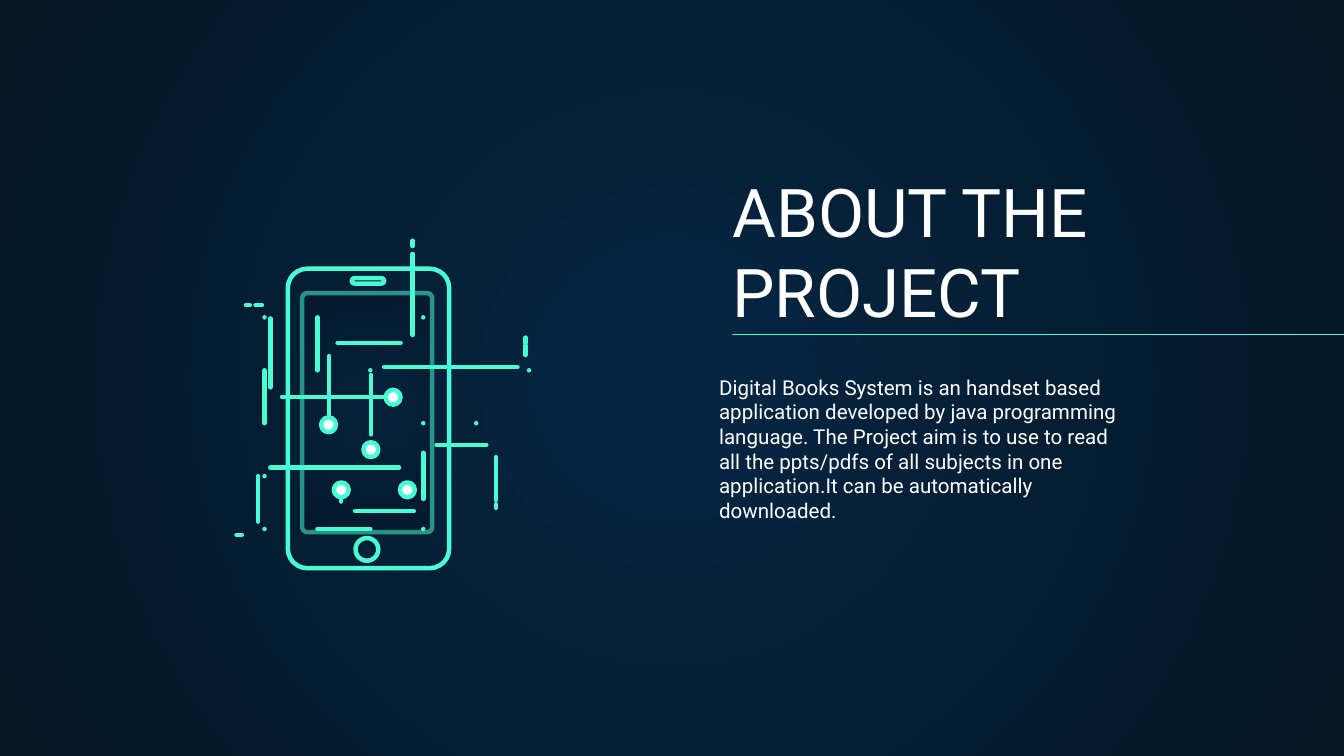
from pptx import Presentation
from pptx import util as u
from pptx.dml import color
from pptx.enum import shapes, text
from pptx.oxml import ns, parse_xml

HUES = {"mint": "48FFD5", "white": "FFFFFF", "navy": "052643",
        "night": "041523", "plum": "161234"}
FONT = "Roboto"
TICK = 0.08
DOT = 0.28

WIRES = [
    ((1.98, 4.71),
     [(1.98, 4.85, 1.98, 4.93), (2.24, 5.11, 3.35, 5.11),
      (3.53, 4.88, 3.53, 4.01), (3.78, 3.86, 4.72, 3.86),
      (4.9, 4.09, 4.9, 4.9), (4.9, 4.98, 4.9, 5.05)],
     [(1.98, 5.11, 1, -1), (3.53, 5.11, -1, -1),
      (3.53, 3.86, 1, 1), (4.9, 3.86, -1, 1)]),
    ((2.96, 2.96),
     [(0.18, 1.22, 0.25, 1.22), (0.36, 1.22, 0.48, 1.22),
      (0.64, 1.47, 0.64, 2.77), (0.86, 2.95, 2.77, 2.95)],
     [(0.64, 1.22, -1, 1), (0.64, 2.95, 1, -1)]),
    ((3.23, 4.71),
     [(0, 5.56, 0.1, 5.56), (0.41, 5.31, 0.41, 4.45),
      (0.64, 4.29, 3.07, 4.29)],
     [(0.41, 5.56, -1, -1), (0.41, 4.29, 1, 1), (3.23, 4.29, -1, 1)]),
    ((2.54, 3.95),
     [(2.54, 3.66, 2.54, 2.54), (2.79, 2.39, 5.31, 2.39),
      (5.46, 2.16, 5.46, 1.98), (5.46, 1.93, 5.46, 1.83)],
     [(2.54, 2.39, 1, 1), (5.46, 2.39, -1, -1)]),
    ((1.74, 3.48),
     [(3.33, 0, 3.33, 0.1), (3.33, 0.25, 3.33, 1.78),
      (3.1, 1.93, 1.91, 1.93), (1.75, 2.18, 1.75, 3.3)],
     [(3.33, 1.93, -1, -1), (1.75, 1.93, 1, 1)]),
]


def rgb(name):
    """Return the named colour."""
    return color.RGBColor.from_string(HUES[name])


def glow(fill, node, alpha=100):
    """Fill with a round gradient from navy to night."""
    fill.gradient()
    for stop, name in zip(fill.gradient_stops, ("navy", "night")):
        stop.color.rgb = rgb(name)
    for tone in node.iter(ns.qn("a:srgbClr")):
        tone.append(parse_xml(
            f'<a:alpha {ns.nsdecls("a")} val="{alpha * 1000}"/>'))
    lin = next(node.iter(ns.qn("a:lin")))
    lin.getparent().replace(lin, parse_xml(
        f'<a:path {ns.nsdecls("a")} path="circle"><a:fillToRect '
        'l="50000" t="50000" r="50000" b="50000"/></a:path>'))


def ink(shape, width=2.4):
    """Give a shape or line its mint stroke with round ends."""
    shape.line.color.rgb = rgb("mint")
    shape.line.width = u.Pt(width)
    next(shape.element.iter(ns.qn("a:ln"))).set("cap", "rnd")


def line(slide, x1, y1, x2, y2, width=2.4):
    """Draw a straight line between two points in cm."""
    wire = slide.shapes.add_connector(
        shapes.MSO_CONNECTOR.STRAIGHT, u.Cm(x1), u.Cm(y1), u.Cm(x2), u.Cm(y2))
    ink(wire, width)
    wire.element.spPr.append(parse_xml(f'<a:effectLst {ns.nsdecls("a")}/>'))


def bend(slide, x, y, dx, dy):
    """Draw a small corner whose arms point along dx and dy."""
    pen = slide.shapes.build_freeform(x + dx * TICK, y, scale=float(u.Cm(1)))
    pen.add_line_segments([(x, y), (x, y + dy * TICK)], close=False)
    arm = pen.convert_to_shape()
    arm.fill.background()
    arm.shadow.inherit = False
    ink(arm)


def form(slide, kind, x, y, w, h, fill=None):
    """Draw an outlined preset shape, with a plain fill or none."""
    shape = slide.shapes.add_shape(kind, u.Cm(x), u.Cm(y), u.Cm(w), u.Cm(h))
    shape.shadow.inherit = False
    if fill:
        shape.fill.solid()
        shape.fill.fore_color.rgb = rgb(fill)
    else:
        shape.fill.background()
    ink(shape)
    return shape


def phone(slide, x, y):
    """Draw the phone and its circuit wires in the box at x, y."""
    kinds = shapes.MSO_SHAPE
    case = form(slide, kinds.ROUNDED_RECTANGLE, x + 0.97, y + 0.53, 3.05, 5.66)
    case.adjustments[0] = 0.12
    pane = form(slide, kinds.ROUNDED_RECTANGLE, x + 1.24, y + 0.99, 2.46, 4.52)
    pane.adjustments[0] = 0.04
    glow(pane.fill, pane.element.spPr.find(ns.qn("a:gradFill"))
         or pane.element.spPr, 53)
    ink(pane)
    home = form(slide, kinds.OVAL, x + 2.25, y + 5.62, 0.43, 0.43)
    glow(home.fill, home.element.spPr)
    ink(home)
    slot = form(slide, kinds.ROUNDED_RECTANGLE,
                x + 2.18, y + 0.71, 0.61, 0.1, "plum")
    slot.adjustments[0] = 0.5
    for (cx, cy), dashes, bends in WIRES:
        for x1, y1, x2, y2 in dashes:
            line(slide, x + x1, y + y1, x + x2, y + y2)
        for bx, by, dx, dy in bends:
            bend(slide, x + bx, y + by, dx, dy)
        form(slide, kinds.OVAL, x + cx - DOT / 2, y + cy - DOT / 2,
             DOT, DOT, "white")


def write(shape, box, words, size, anchor):
    """Place a placeholder in its box and set its text."""
    shape.left, shape.top, shape.width, shape.height = map(u.Cm, box)
    frame = shape.text_frame
    frame.word_wrap = True
    frame.auto_size = text.MSO_AUTO_SIZE.NONE
    frame.vertical_anchor = anchor
    frame.margin_left = frame.margin_right = u.Cm(0.25)
    frame.margin_top = frame.margin_bottom = u.Cm(0.25)
    frame.text = words
    para = frame.paragraphs[0]
    para.alignment = text.PP_ALIGN.LEFT
    para.space_before = u.Pt(0)
    para.font.name = FONT
    para.font.size = u.Pt(size)
    para.font.color.rgb = rgb("white")
    return para


def story(slide, x, y, edge):
    """Set the title, its rule up to the edge, and the body text."""
    write(slide.shapes.title, (x + 1.52, y, 9.8, 1.68),
          "ABOUT THE PROJECT", 36, text.MSO_ANCHOR.BOTTOM)
    para = write(
        slide.placeholders[1], (x, y + 2, 9.6, 3.94),
        "Digital Books System is an handset based application developed by "
        "java programming language. The Project aim is to use to read all "
        "the ppts/pdfs of all subjects in one application.It can be "
        "automatically downloaded.", 11, text.MSO_ANCHOR.TOP)
    props = para._p.get_or_add_pPr()
    props.set("marL", str(u.Cm(1.27)))
    props.set("indent", "0")
    line(slide, x + 1.78, y + 1.49, edge, y + 1.49, 0.75)


def main():
    """Build and save the slide."""
    deck = Presentation()
    deck.slide_width, deck.slide_height = u.Cm(25.4), u.Cm(14.29)
    slide = deck.slides.add_slide(deck.slide_layouts[0])
    glow(slide.background.fill, slide.element)
    story(slide, 12.07, 4.83, 25.4)
    phone(slide, 4.47, 4.55)
    deck.save("out.pptx")


if __name__ == "__main__":
    main()
